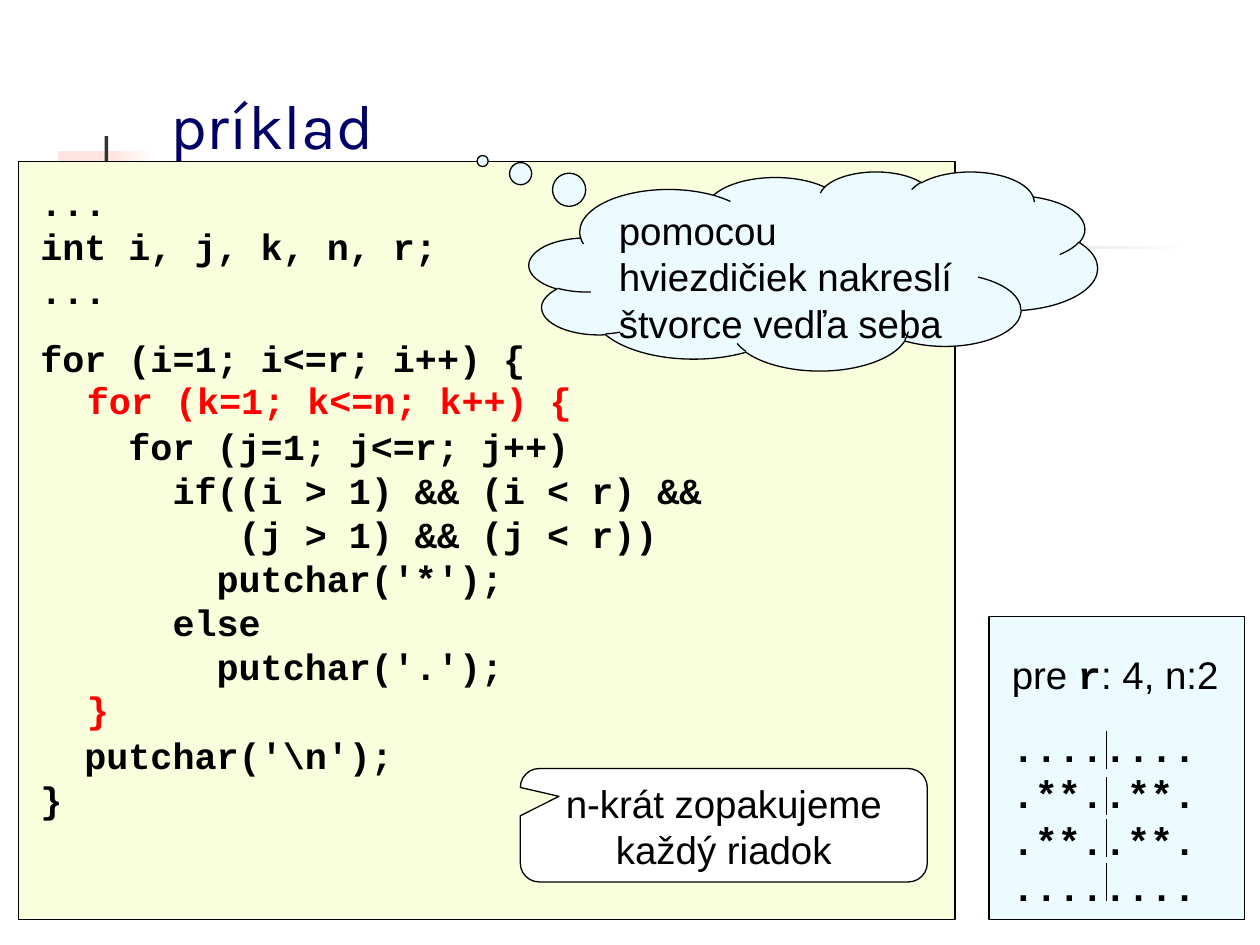
from pptx import Presentation
from pptx.dml.color import RGBColor
from pptx.enum.shapes import MSO_CONNECTOR, MSO_SHAPE as SHAPE
from pptx.enum.text import MSO_ANCHOR, PP_ALIGN
from pptx.oxml.ns import qn
from pptx.util import Inches, Pt

COLORS = {"white": "FFFFFF", "black": "000000", "navy": "000066", "red": "FF0000",
          "pink": "FFE5E1", "cream": "F9FFDD", "ice": "EBFBFF", "dark": "333333"}
SANS, MONO = "Arial", "Courier New"
CODE_SIZE, CODE_PITCH = 21, 25.2
NOTE_SIZE, NOTE_PITCH = 22, 26.3

# Content: each code line is (text, space before in points)
CODE = [
    ("...", 0),
    ("int i, j, k, n, r;", 0),
    ("...", 0),
    ("for (i=1; i<=r; i++) {", 13.2),
    ("    for (j=1; j<=r; j++)", CODE_PITCH),
    ("      if((i > 1) && (i < r) &&", 0),
    ("         (j > 1) && (j < r))", 0),
    ("        putchar('*');", 0),
    ("      else", 0),
    ("        putchar('.');", 0),
    ("  putchar('\\n');", CODE_PITCH),
    ("}", 0),
]
OUTER_LOOP = [("for (k=1; k<=n; k++) {", 0), ("}", 6 * CODE_PITCH)]
CAPTION = [("pre ", SANS), ("r", MONO), (": 4, n:2", SANS)]
PATTERN = ["........", ".**..**.", ".**..**.", "........"]

# Decoration: box, colour, optional (start colour, end colour, angle)
DECOR = [
    ((0.46, 1.2, 0.48, 0.52), "pink", None),
    ((0.88, 1.2, 0.36, 0.52), None, ("white", "pink", 180)),
    ((0.14, 1.58, 0.61, 0.46), None, ("cream", "white", 225)),
    ((0.83, 1.08, 0.03, 1.15), "dark", None),
    ((0.48, 1.95, 9, 0.03), None, ("white", "dark", 180)),
]
DIVIDER_X, DIVIDER_LENGTH = 8.78, 0.3
DIVIDER_TOPS = [5.8, 6.17, 6.5, 6.85]


def rgb(name):
    return RGBColor.from_string(COLORS[name])


def add_shape(kind, box, fill, line=None, adjustments=()):
    s = slide.shapes.add_shape(kind, *map(Inches, box))
    s.shadow.inherit = False
    for i, value in enumerate(adjustments):
        s.adjustments[i] = value
    if fill:
        s.fill.solid()
        s.fill.fore_color.rgb = rgb(fill)
    if line:
        s.line.color.rgb = rgb(line)
        s.line.width = Pt(0.75)
    else:
        s.line.fill.background()
    return s


def set_frame(s, anchor=MSO_ANCHOR.TOP):
    tf = s.text_frame
    tf.word_wrap = True
    tf.vertical_anchor = anchor
    tf.margin_left = tf.margin_right = Inches(0.09)
    tf.margin_top = tf.margin_bottom = Inches(0.05)
    return tf


def add_textbox(box, **options):
    return set_frame(slide.shapes.add_textbox(*map(Inches, box)), **options)


def write(tf, i, runs, size, color, pitch=None, before=0, align=PP_ALIGN.LEFT):
    """Write paragraph i from (text, font) runs; monospaced runs are bold."""
    p = tf.add_paragraph() if i else tf.paragraphs[0]
    p.alignment = align
    if before:
        p.space_before = Pt(before)
    if pitch:
        p.line_spacing = Pt(pitch)
    for text, font in runs:
        r = p.add_run()
        r.text = text
        r.font.name = font
        r.font.size = Pt(size)
        r.font.bold = font == MONO
        r.font.color.rgb = rgb(color)


def write_code(tf, lines, color):
    for i, (text, before) in enumerate(lines):
        write(tf, i, [(text, MONO)], CODE_SIZE, color, CODE_PITCH, before)


prs = Presentation()
prs.slide_width, prs.slide_height = Inches(10), Inches(7.5)
slide = prs.slides.add_slide(prs.slide_layouts[6])

# Background decoration
for box, fill, gradient in DECOR:
    s = add_shape(SHAPE.RECTANGLE, box, fill)
    if gradient:
        *stops, angle = gradient
        s.fill.gradient()
        s.fill.gradient_angle = angle
        for i, name in enumerate(stops):
            s.fill.gradient_stops[i].color.rgb = rgb(name)
            s.fill.gradient_stops[i].position = i

# Title
tf = add_textbox((1.26, 0.68, 8.52, 0.66), anchor=MSO_ANCHOR.BOTTOM)
write(tf, 0, [("príklad", "Karla")], 36, "navy")

# Code panel
add_shape(SHAPE.RECTANGLE, (0.15, 1.28, 7.43, 6.02), "cream", "black")
write_code(add_textbox((0.23, 1.38, 5.51, 5.17)), CODE, "black")

# Thought cloud
cloud = add_shape(SHAPE.CLOUD_CALLOUT, (4.2, 1.36, 4.51, 1.58), "ice", "black",
                  (-0.582, -0.552))
write(set_frame(cloud), 0, [("pomocou hviezdičiek nakreslí štvorce vedľa seba", SANS)],
      NOTE_SIZE, "black", NOTE_PITCH)

# Sample output
add_shape(SHAPE.RECTANGLE, (7.85, 4.89, 2.03, 2.41), "ice", "black")
tf = add_textbox((7.94, 5.12, 1.94, 2.14))
write(tf, 0, CAPTION, NOTE_SIZE, "black", NOTE_PITCH)
for i, row in enumerate(PATTERN, 1):
    write(tf, i, [(row, MONO)], NOTE_SIZE, "black", NOTE_PITCH, 15.6 if i == 1 else 0)

# Remark on the outer loop
remark = add_shape(SHAPE.ROUNDED_RECTANGULAR_CALLOUT, (4.13, 6.1, 3.23, 0.9), "white",
                   "black", (-0.405, -0.255, 0.167))
write(set_frame(remark), 0, [("n-krát zopakujeme každý riadok", SANS)],
      NOTE_SIZE, "black", NOTE_PITCH, align=PP_ALIGN.CENTER)

# Highlighted outer loop
write_code(add_textbox((0.6, 2.95, 4.2, 2.89)), OUTER_LOOP, "red")

# Dividers between the two squares
for top in DIVIDER_TOPS:
    x = Inches(DIVIDER_X)
    c = slide.shapes.add_connector(MSO_CONNECTOR.STRAIGHT, x, Inches(top),
                                   x, Inches(top + DIVIDER_LENGTH))
    c.line.color.rgb = rgb("black")
    c.line.width = Pt(0.75)
    sp_pr = c._element.spPr
    sp_pr.append(sp_pr.makeelement(qn("a:effectLst"), {}))

prs.save("out.pptx")
